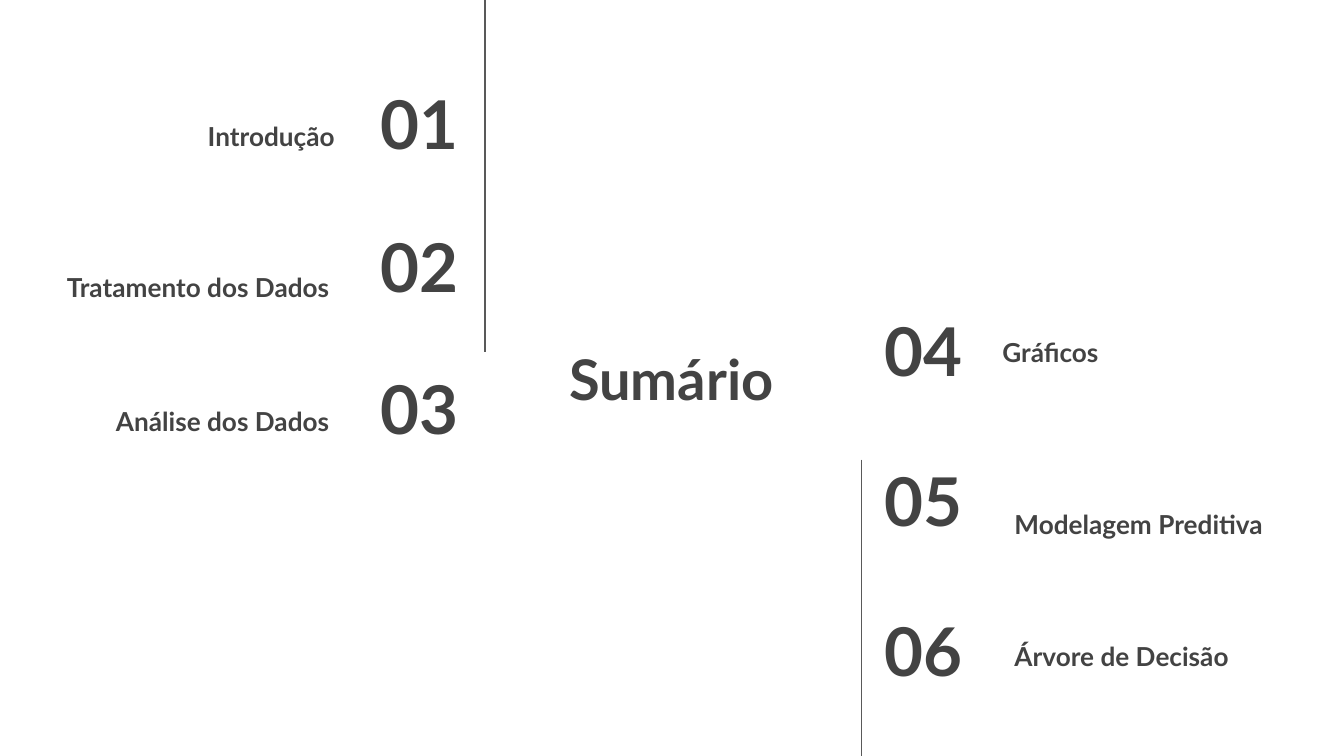
from lxml import etree
from pptx import Presentation, util as u
from pptx.dml.color import RGBColor
from pptx.enum import shapes, text
from pptx.oxml.ns import qn

# Content: (label, horizontal nudge, vertical offset from its number)
TITLE = "Sumário"
LEFT_TOPICS = [
    ("Introdução", 0.04, 0),
    ("Tratamento dos Dados", 0, 0.06),
    ("Análise dos Dados", 0, 0),
]
RIGHT_TOPICS = [
    ("Gráficos", -0.09, -0.08),
    ("Modelagem Preditiva", 0, 0.08),
    ("Árvore de Decisão", 0, -0.05),
]

THEME = {
    "font": "Lato",
    "text": RGBColor(0x43, 0x43, 0x43),
    "line": RGBColor(0x59, 0x59, 0x59),
    "title": 30,
    "number": 36,
    "label": 14,
    "line_width": 0.75,
}

# Grid, in inches, on a 16:9 slide
WIDTH = 10
HEIGHT = WIDTH * 9 / 16
ROW_HEIGHT = 0.63
LABEL_WIDTH = 2.16
ALIGN, ANCHOR = text.PP_ALIGN, text.MSO_ANCHOR
COLUMNS = [
    {"topics": LEFT_TOPICS, "first_top": 0.6, "last_top": 2.72, "number_left": 2.3,
     "number_width": 1.21, "label_left": 0.39, "align": ALIGN.RIGHT},
    {"topics": RIGHT_TOPICS, "first_top": 2.29, "last_top": 4.52, "number_left": 6.48,
     "number_width": 1.17, "label_left": 7.45, "align": ALIGN.LEFT},
]
DIVIDERS = [(3.61, 0, 2.62), (6.41, 3.42, 5.64)]


def format_text(shape, words, box, size, align, anchor):
    """Place a text shape and give it the theme's type."""
    for name, value in zip(("left", "top", "width", "height"), box):
        setattr(shape, name, u.Inches(value))
    frame = shape.text_frame
    frame.text = words
    frame_format = {"word_wrap": True, "auto_size": text.MSO_AUTO_SIZE.NONE,
                    "vertical_anchor": anchor}
    for side in ("left", "top", "right", "bottom"):
        frame_format[f"margin_{side}"] = u.Inches(0.1)
    for name, value in frame_format.items():
        setattr(frame, name, value)
    paragraph = frame.paragraphs[0]
    paragraph.alignment = align
    font = paragraph.runs[0].font
    for name, value in {"name": THEME["font"], "size": u.Pt(THEME[size]),
                        "bold": True}.items():
        setattr(font, name, value)
    font.color.rgb = THEME["text"]


def add_text(slide, *details):
    format_text(slide.shapes.add_textbox(0, 0, 0, 0), *details)


def add_divider(slide, x, top, bottom):
    line = slide.shapes.add_connector(
        shapes.MSO_CONNECTOR.STRAIGHT,
        *(u.Inches(value) for value in (x, top, x, bottom)))
    line.line.color.rgb = THEME["line"]
    line.line.width = u.Pt(THEME["line_width"])
    properties = line._element.find(qn("p:spPr"))
    etree.SubElement(properties, qn("a:effectLst"))


def main():
    presentation = Presentation()
    presentation.slide_width = u.Inches(WIDTH)
    presentation.slide_height = u.Inches(HEIGHT)
    slide = presentation.slides.add_slide(presentation.slide_layouts[5])

    # Title
    format_text(slide.shapes.title, TITLE, (3.7, 2.3, 2.59, 1.03),
                "title", ALIGN.CENTER, ANCHOR.MIDDLE)

    # Dividers
    for divider in DIVIDERS:
        add_divider(slide, *divider)

    # Numbered topics
    number = 0
    for column in COLUMNS:
        topics = column["topics"]
        step = (column["last_top"] - column["first_top"]) / (len(topics) - 1)
        for row, (label, nudge, offset) in enumerate(topics):
            number += 1
            top = column["first_top"] + row * step
            add_text(slide, f"{number:02d}",
                     (column["number_left"], top, column["number_width"], ROW_HEIGHT),
                     "number", column["align"], ANCHOR.MIDDLE)
            add_text(slide, label,
                     (column["label_left"] + nudge, top + offset, LABEL_WIDTH, ROW_HEIGHT),
                     "label", column["align"], ANCHOR.BOTTOM)

    presentation.save("out.pptx")


if __name__ == "__main__":
    main()
